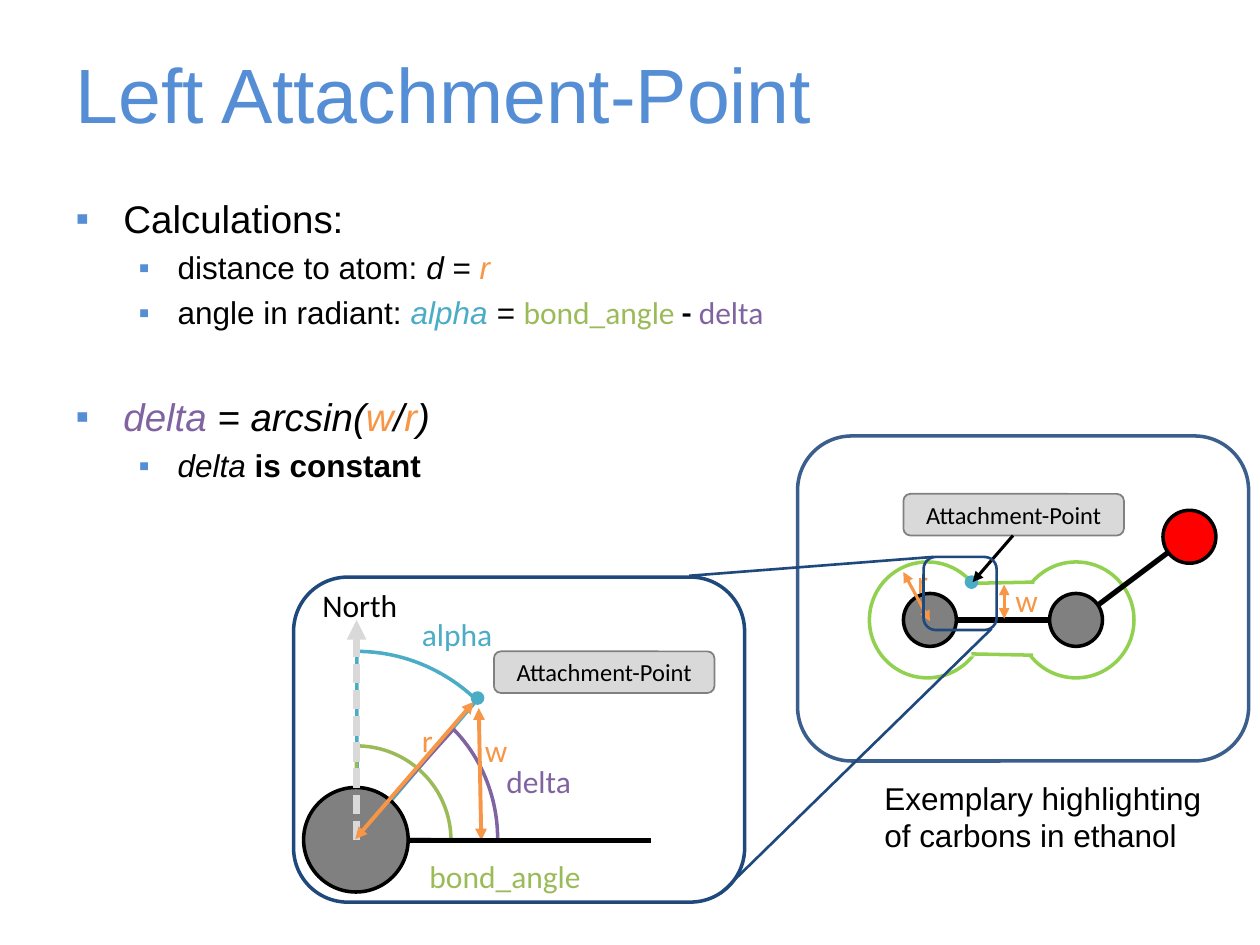
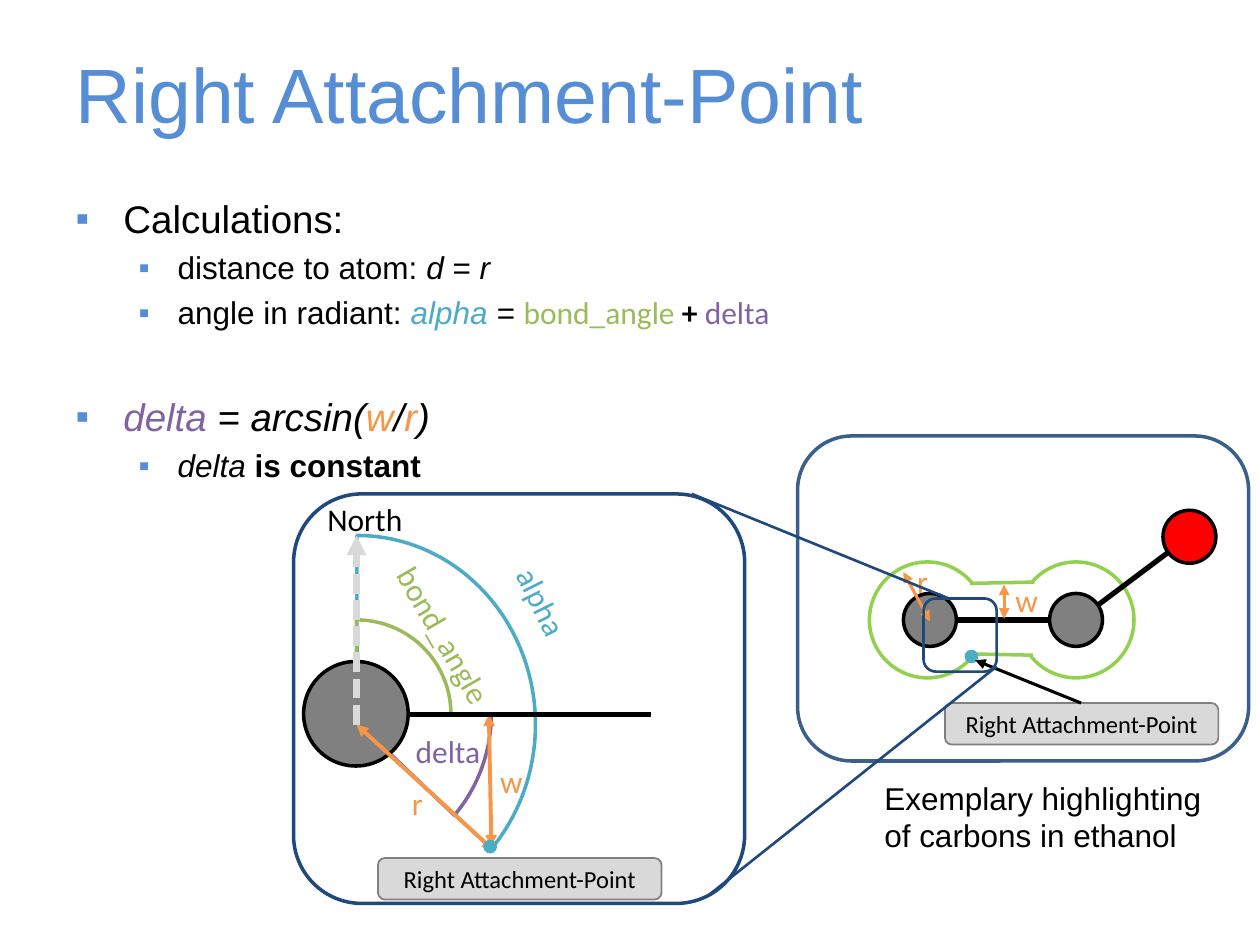
from dataclasses import dataclass

from lxml import etree
from pptx import Presentation
from pptx.dml.color import RGBColor
from pptx.enum.dml import MSO_LINE
from pptx.enum.shapes import MSO_CONNECTOR, MSO_SHAPE
from pptx.enum.text import MSO_ANCHOR, MSO_AUTO_SIZE, PP_ALIGN
from pptx.oxml.ns import qn
from pptx.util import Inches, Pt

OVAL, RECT = MSO_SHAPE.OVAL, MSO_SHAPE.RECTANGLE
ROUNDED, PIE = MSO_SHAPE.ROUNDED_RECTANGLE, MSO_SHAPE.PIE
STRAIGHT, DASHED = MSO_CONNECTOR.STRAIGHT, MSO_LINE.SQUARE_DOT
MIDDLE, LEFT, CENTER = MSO_ANCHOR.MIDDLE, PP_ALIGN.LEFT, PP_ALIGN.CENTER
FIT_SHAPE, NO_FIT = MSO_AUTO_SIZE.SHAPE_TO_FIT_TEXT, MSO_AUTO_SIZE.NONE

BLACK = RGBColor(0x00, 0x00, 0x00)
WHITE = RGBColor(0xFF, 0xFF, 0xFF)
RED = RGBColor(0xFF, 0x00, 0x00)
GRAY = RGBColor(0x80, 0x80, 0x80)
LIGHT_GRAY = RGBColor(0xD9, 0xD9, 0xD9)
TITLE_BLUE = RGBColor(0x55, 0x8E, 0xD5)
PANEL_BLUE = RGBColor(0x3A, 0x5F, 0x8C)
NAVY = RGBColor(0x1F, 0x49, 0x7D)
TEAL = RGBColor(0x4B, 0xAC, 0xC6)
OLIVE = RGBColor(0x9B, 0xBB, 0x59)
LIME = RGBColor(0x92, 0xD0, 0x50)
PURPLE = RGBColor(0x80, 0x64, 0xA2)
ORANGE = RGBColor(0xF7, 0x96, 0x46)

# Width and colour of each diagram label
LABELS = {
    "North": (0.8, BLACK), "alpha": (0.77, TEAL), "bond_angle": (1.42, OLIVE),
    "delta": (0.72, PURPLE), "r": (0.29, ORANGE), "w": (0.38, ORANGE),
}


@dataclass
class Overview:
    """What differs in the molecule panel, relative to the panel's corner."""
    dot: tuple
    tag: tuple
    pointer: tuple
    focus: tuple


@dataclass
class Zoom:
    """What differs in the enlarged view, relative to the atom's centre."""
    box: tuple        # on the page
    links: list       # on the page
    centre: tuple     # on the page
    labels: dict
    alpha_top: float
    alpha_end: float
    delta_left: float
    delta_angles: tuple
    north: tuple
    radius: tuple
    width: tuple
    dot: tuple
    tag: tuple


def add_span(para, text, size, color=BLACK, font="Arial", italic=False, bold=False):
    span = para.add_run()
    span.text = text
    span.font.name, span.font.size = font, Pt(size)
    span.font.color.rgb = color
    span.font.italic, span.font.bold = italic, bold


class Region:
    """Draws parts relative to a corner or centre on the page."""

    def __init__(self, page, left, top):
        self.shapes, self.left, self.top = page.shapes, left, top

    def place(self, x, y):
        return Inches(self.left + x), Inches(self.top + y)

    def shape(self, kind, x, y, width, height, fill=None, line=None, weight=2):
        box = self.shapes.add_shape(kind, *self.place(x, y), Inches(width), Inches(height))
        box.shadow.inherit = False
        if fill is None:
            box.fill.background()
        else:
            box.fill.solid()
            box.fill.fore_color.rgb = fill
        if line is None:
            box.line.fill.background()
        else:
            box.line.color.rgb = line
            box.line.width = Pt(weight)
        return box

    def sector(self, x, y, width, height, angles, color):
        pie = self.shape(PIE, x, y, width, height, line=color)
        for index, degrees in enumerate(angles):
            pie.adjustments[index] = degrees * 0.6  # 60000ths over 100000

    def dot(self, x, y):
        self.shape(OVAL, x, y, 0.08, 0.08, TEAL, TEAL)

    def line(self, start, end, color, weight, heads="", dash=None):
        line = self.shapes.add_connector(STRAIGHT, *self.place(*start), *self.place(*end))
        line.line.color.rgb = color
        line.line.width = Pt(weight)
        if dash is not None:
            line.line.dash_style = dash
        properties = line._element.spPr
        outline = properties.find(qn("a:ln"))
        for name in heads.split():
            etree.SubElement(outline, qn(f"a:{name}End"), type="triangle")
        etree.SubElement(properties, qn("a:effectLst"))

    def text(self, lines, x, y, width, height, color=BLACK, font="Calibri"):
        box = self.shapes.add_textbox(*self.place(x, y), Inches(width), Inches(height))
        frame = box.text_frame
        frame.word_wrap, frame.auto_size = False, FIT_SHAPE
        for index, text in enumerate(lines):
            para = frame.add_paragraph() if index else frame.paragraphs[0]
            add_span(para, text, 18, color, font)
        return box

    def label(self, name, x, y, rotation=0):
        width, color = LABELS[name]
        self.text([name], x, y, width, 0.4, color).rotation = rotation

    def tag(self, text, x, y, width):
        box = self.shape(ROUNDED, x, y, width, 0.33, LIGHT_GRAY, GRAY, 1)
        frame = box.text_frame
        frame.vertical_anchor, frame.word_wrap = MIDDLE, True
        frame.paragraphs[0].alignment = CENTER
        add_span(frame.paragraphs[0], text, 14, font="Calibri")


def fit_placeholder(holder, left, top, width, height):
    holder.left, holder.top = Inches(left), Inches(top)
    holder.width, holder.height = Inches(width), Inches(height)
    frame = holder.text_frame
    frame.word_wrap, frame.auto_size = True, NO_FIT
    return frame


def write_title(page, text):
    frame = fit_placeholder(page.shapes.title, 0.5, 0.3, 9, 0.87)
    frame.vertical_anchor = MIDDLE
    frame.paragraphs[0].alignment = LEFT
    add_span(frame.paragraphs[0], text, 44, TITLE_BLUE)


def format_bullet(para, level, space):
    para.level = level
    para.space_before = Pt(space)
    margin, hanging = ((0.38, 0.38), (0.81, 0.31))[level]
    properties = para._p.get_or_add_pPr()
    properties.set("marL", str(Inches(margin)))
    properties.set("indent", str(-Inches(hanging)))
    color = etree.SubElement(properties, qn("a:buClr"))
    etree.SubElement(color, qn("a:srgbClr"), val=str(TITLE_BLUE))
    etree.SubElement(properties, qn("a:buFont"), typeface="Arial")
    etree.SubElement(properties, qn("a:buChar"), char="▪")


def write_calculations(page, sign, radius_color):
    italic, bold = {"italic": True}, {"bold": True}
    calibri = {"font": "Calibri"}
    # Level, space before, then the spans: text, colour, style
    items = [
        (0, 5, [("Calculations:", BLACK, {})]),
        (1, 4, [("distance to atom: ", BLACK, {}), ("d ", BLACK, italic),
                ("= ", BLACK, {}), ("r", radius_color, italic)]),
        (1, 4, [("angle in radiant: ", BLACK, {}), ("alpha", TEAL, italic),
                (" = ", BLACK, italic), ("bond_angle ", OLIVE, calibri),
                (sign + " ", BLACK, {**calibri, **bold}), ("delta", PURPLE, calibri)]),
        (0, 35.4, [("delta ", PURPLE, italic), ("= arcsin(", BLACK, italic),
                   ("w", ORANGE, italic), ("/", BLACK, italic),
                   ("r", ORANGE, italic), (")", BLACK, italic)]),
        (1, 4, [("delta", BLACK, italic), (" is constant", BLACK, bold)]),
    ]
    frame = fit_placeholder(page.placeholders[1], 0.5, 1.5, 9, 5.2)
    for index, (level, space, spans) in enumerate(items):
        para = frame.add_paragraph() if index else frame.paragraphs[0]
        format_bullet(para, level, space)
        for text, color, style in spans:
            add_span(para, text, (22, 18)[level], color, **style)


def draw_overview(page, left, top, view, tag_text):
    panel = Region(page, left, top)
    panel.shape(ROUNDED, 0, 0, 3.58, 2.58, WHITE, PANEL_BLUE)
    # Highlight outline: two halos joined by a band
    for x in (0.57, 1.75):
        panel.shape(OVAL, x, 1, 0.92, 0.92, line=LIME)
    panel.shape(RECT, 1.25, 1.17, 0.75, 0.58, WHITE)
    panel.line((1.37, 1.17), (1.88, 1.16), LIME, 2)
    panel.line((1.38, 1.73), (1.87, 1.74), LIME, 2)
    # Ethanol: bonds and atoms
    panel.line((2.24, 1.45), (3.12, 0.79), BLACK, 3)
    for x, y, color in ((0.84, 1.25, GRAY), (2, 1.25, GRAY), (2.9, 0.59, RED)):
        panel.shape(OVAL, x, y, 0.42, 0.42, color, BLACK)
    panel.line((1.25, 1.46), (2, 1.46), BLACK, 3)
    # Measures r and w
    panel.line((0.84, 1.08), (1.05, 1.47), ORANGE, 1.75, "head tail")
    panel.label("r", 0.85, 0.95)
    panel.line((1.64, 1.18), (1.64, 1.45), ORANGE, 1.75, "head tail")
    panel.label("w", 1.63, 1.1)
    panel.text(["Exemplary highlighting", "of carbons in ethanol"],
               0.59, 2.67, 2.74, 0.71, font="Arial")
    # Attachment point and the area that is enlarged
    panel.dot(*view.dot)
    panel.tag(tag_text, *view.tag)
    panel.line(*view.pointer, BLACK, 1.75, "tail")
    panel.shape(ROUNDED, *view.focus, 0.58, 0.58, line=NAVY, weight=1.5)


def draw_zoom(page, zoom, tag_text):
    # Frame and its links to the overview
    whole = Region(page, 0, 0)
    whole.shape(ROUNDED, *zoom.box, WHITE, NAVY)
    for start, end in zoom.links:
        whole.line(start, end, NAVY, 1.5)
    # Angles
    atom = Region(page, *zoom.centre)
    atom.sector(-1.41, zoom.alpha_top, 2.83, 3, (269.9, zoom.alpha_end), TEAL)
    atom.sector(-0.75, -0.75, 1.5, 1.5, (269.9, 0.16), OLIVE)
    atom.sector(zoom.delta_left, -1.22, 2.28, 2.42, zoom.delta_angles, PURPLE)
    atom.tag(tag_text, *zoom.tag)
    for name, place in zoom.labels.items():
        atom.label(name, *place)
    # Atom, bond and measuring arrows
    atom.line(*zoom.width, ORANGE, 2.25, "head tail")
    atom.line((0.42, 0), (2.34, 0), BLACK, 3)
    atom.shape(OVAL, -0.42, -0.42, 0.83, 0.83, GRAY, BLACK)
    atom.line(*zoom.north, LIGHT_GRAY, 3.75, "tail", DASHED)
    atom.line(*zoom.radius, ORANGE, 2.25, "head tail")
    atom.dot(*zoom.dot)


def build_page(deck, title, sign, radius_color, tag_text, overview, zoom):
    page = deck.slides.add_slide(deck.slide_layouts[1])
    write_title(page, title)
    write_calculations(page, sign, radius_color)
    draw_overview(page, 6.33, 3.46, overview, tag_text)
    draw_zoom(page, zoom, tag_text)


deck = Presentation()
deck.slide_width, deck.slide_height = Inches(10), Inches(7.5)

build_page(
    deck, "Left Attachment-Point", "-", ORANGE, "Attachment-Point",
    Overview(dot=(1.34, 1.12), tag=(0.84, 0.46, 1.75),
             pointer=((1.71, 0.79), (1.39, 1.16)), focus=(1, 0.96)),
    Zoom(box=(2.33, 4.58, 3.58, 2.58), centre=(2.83, 6.67),
         links=[((5.47, 4.57), (7.41, 4.42)), ((5.72, 7.09), (7.87, 4.99))],
         labels={"North": (-0.37, -2.07), "alpha": (0.42, -1.84),
                 "bond_angle": (0.48, 0.08), "delta": (1.09, -0.67),
                 "r": (0.42, -1), "w": (0.92, -0.92)},
         alpha_top=-1.5, alpha_end=310.48,
         delta_left=-1.16, delta_angles=(312.13, 0.27),
         north=((0, 0), (0, -1.75)), radius=((0.93, -1.1), (-0.01, -0.01)),
         width=((0.97, -1.05), (0.99, 0)),
         dot=(0.92, -1.17), tag=(1.09, -1.5, 1.75)))

build_page(
    deck, "Right Attachment-Point", "+", BLACK, "Right Attachment-Point",
    Overview(dot=(1.34, 1.71), tag=(1.17, 2.12, 2.17),
             pointer=((2.25, 2.12), (1.41, 1.78)), focus=(1, 1.29)),
    Zoom(box=(2.33, 3.92, 3.58, 3.25), centre=(2.83, 5.67),
         links=[((5.49, 3.92), (7.53, 4.75)), ((5.63, 7.1), (7.91, 5.29))],
         labels={"North": (-0.33, -1.75), "alpha": (1.09, -1.09, 63.6),
                 "bond_angle": (-0.01, -0.82, 59.9), "delta": (0.37, 0.09),
                 "r": (0.34, 0.5), "w": (1.04, 0.33)},
         alpha_top=-1.42, alpha_end=42.78,
         delta_left=-1.21, delta_angles=(0.66, 43.78),
         north=((0, 0.08), (0, -1.42)), radius=((1.09, 1.08), (0, 0.08)),
         width=((1.05, 0), (1.07, 1.05)),
         dot=(1.02, 1.01), tag=(0.17, 1.14, 2.25)))

deck.save("out.pptx")
